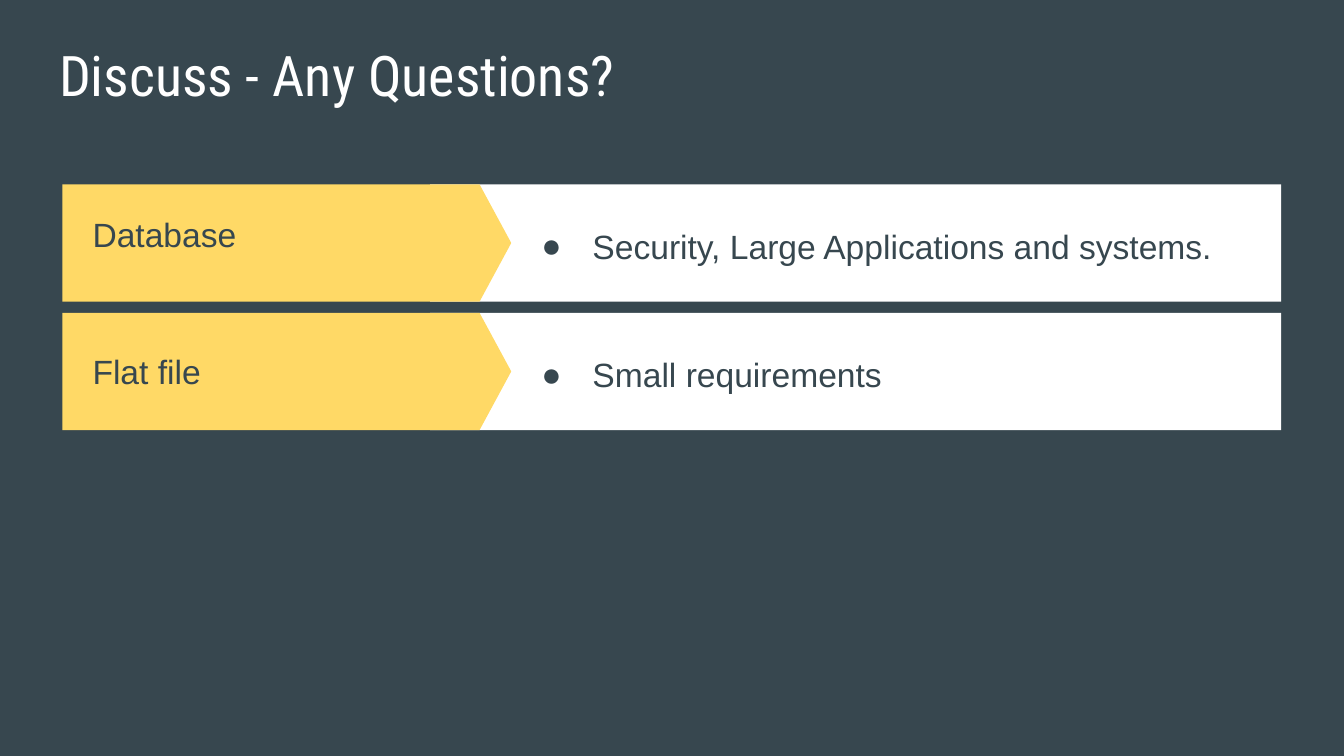
from lxml.etree import SubElement
from pptx import Presentation
from pptx.dml.color import RGBColor
from pptx.enum.shapes import MSO_SHAPE
from pptx.enum.text import MSO_ANCHOR
from pptx.oxml.ns import qn
from pptx.util import Inches, Pt

SLATE = RGBColor(0x37, 0x47, 0x4F)
YELLOW = RGBColor(0xFF, 0xD9, 0x66)
WHITE = RGBColor(0xFF, 0xFF, 0xFF)

COLUMNS, ROWS = 100, 56.25
BAND_TOP, BAND_HEIGHT, BAND_STEP = 13.72, 8.72, 9.56

# Label, rise of the label above its band, answer
BANDS = [
    ("Database", 0.7, "Security, Large Applications and systems."),
    ("Flat file", 0, "Small requirements"),
]


class SlideBuilder:
    """Holds the style and the slide; lengths are grid columns and rows."""

    def __init__(self, presentation):
        self.column = presentation.slide_width / COLUMNS
        self.row = presentation.slide_height / ROWS
        self.slide = presentation.slides.add_slide(presentation.slide_layouts[6])
        self.slide.background.fill.solid()
        self.slide.background.fill.fore_color.rgb = SLATE

    def place(self, left, top, width, height):
        return (round(left * self.column), round(top * self.row),
                round(width * self.column), round(height * self.row))

    def add_block(self, group, preset, area, color):
        shape = group.shapes.add_shape(preset, *self.place(*area))
        shape.shadow.inherit = False
        shape.fill.solid()
        shape.fill.fore_color.rgb = color
        shape.line.fill.background()
        return shape

    def add_text(self, text, area, size=18, font="Arial", color=SLATE,
                 anchor=MSO_ANCHOR.MIDDLE):
        frame = self.slide.shapes.add_textbox(*self.place(*area)).text_frame
        frame.word_wrap = True
        frame.vertical_anchor = anchor
        frame.margin_left = frame.margin_right = Inches(0.1)
        frame.margin_top = frame.margin_bottom = Inches(0.1)
        paragraph = frame.paragraphs[0]
        run = paragraph.add_run()
        run.text = text
        run.font.size = Pt(size)
        run.font.name = font
        run.font.color.rgb = color
        return paragraph

    def add_bullet(self, text, area):
        paragraph = self.add_text(text, area)
        paragraph.line_spacing = 1.15
        properties = paragraph._p.get_or_add_pPr()
        properties.set("marL", str(Inches(0.5)))
        properties.set("indent", str(Inches(-0.38)))
        bullet_color = SubElement(properties, qn("a:buClr"))
        SubElement(bullet_color, qn("a:srgbClr"), val=str(SLATE))
        SubElement(properties, qn("a:buFont"), typeface="Arial")
        SubElement(properties, qn("a:buChar"), char="●")

    def add_band(self, top, label, label_rise, answer):
        group = self.slide.shapes.add_group_shape()
        self.add_block(group, MSO_SHAPE.RECTANGLE,
                       (32, top, 63.33, BAND_HEIGHT), WHITE)
        arrow = self.add_block(group, MSO_SHAPE.PENTAGON,
                               (4.64, top, 33.4, BAND_HEIGHT), YELLOW)
        arrow.adjustments[0] = 0.27
        self.add_text(label, (5.9, top - label_rise, 26.5, BAND_HEIGHT))
        self.add_bullet(answer, (38.1, top, 55.9, BAND_HEIGHT))


def main():
    presentation = Presentation()
    presentation.slide_width = Inches(10)
    presentation.slide_height = presentation.slide_width * 9 // 16
    builder = SlideBuilder(presentation)
    builder.add_text("Discuss - Any Questions?", (3.41, 2, 93.2, 6.3), size=30,
                     font="Roboto Condensed", color=WHITE, anchor=MSO_ANCHOR.TOP)
    for index, band in enumerate(BANDS):
        builder.add_band(BAND_TOP + index * BAND_STEP, *band)
    presentation.save("out.pptx")


if __name__ == "__main__":
    main()
